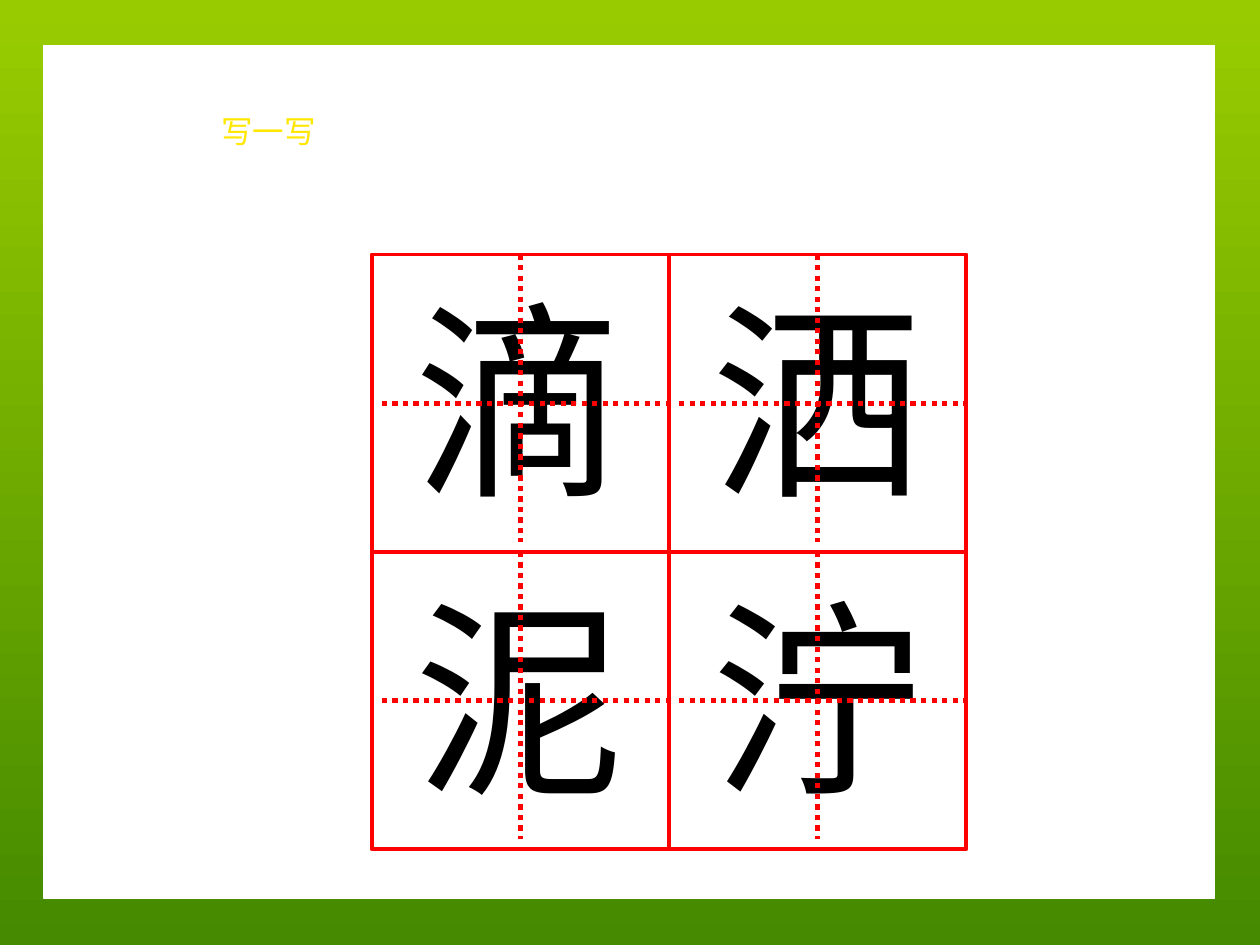
from pptx import Presentation
from pptx.dml.color import RGBColor
from pptx.enum.dml import MSO_LINE
from pptx.enum.shapes import MSO_CONNECTOR, MSO_SHAPE
from pptx.enum.text import MSO_ANCHOR, PP_ALIGN
from pptx.oxml.ns import qn
from pptx.util import Inches, Pt
from lxml import etree

RECTANGLE = MSO_SHAPE.RECTANGLE
STRAIGHT = MSO_CONNECTOR.STRAIGHT
DOTTED = MSO_LINE.ROUND_DOT
TOP, MIDDLE = MSO_ANCHOR.TOP, MSO_ANCHOR.MIDDLE
CENTER = PP_ALIGN.CENTER
TOP_SIDE, RIGHT_SIDE = 0, 3

COLORS = {
    "light green": "99CC00",
    "dark green": "458A00",
    "paper": "FFFFFF",
    "grid": "FF0000",
    "ink": "000000",
    "title": "FFE701",
}
CHARACTERS = ["滴洒", "泥泞"]
CELL = Inches(2.36)
GRID_LEFT, GRID_TOP = Inches(2.95), Inches(2.02)


def color(name):
    return RGBColor.from_string(COLORS[name])


def add_text(shapes, text, left, top, width, height, *, size, font, fill, anchor):
    box = shapes.add_textbox(left, top, width, height)
    frame = box.text_frame
    frame.word_wrap = False
    frame.vertical_anchor = anchor
    paragraph = frame.paragraphs[0]
    paragraph.alignment = CENTER
    run = paragraph.add_run()
    run.text = text
    run.font.size = Pt(size)
    run.font.name = font
    run.font.color.rgb = color(fill)
    east_asian = etree.SubElement(run.font._element, qn("a:ea"))
    east_asian.set("typeface", font)


presentation = Presentation()
presentation.slide_width = Inches(10)
presentation.slide_height = Inches(7.5)
slide = presentation.slides.add_slide(presentation.slide_layouts[6])

background = slide.background.fill
background.gradient()
background.gradient_angle = 270
for stop, name in zip(background.gradient_stops, ["light green", "dark green"]):
    stop.color.rgb = color(name)

paper = slide.shapes.add_shape(
    RECTANGLE, Inches(0.35), Inches(0.36), Inches(9.29), Inches(6.77)
)
paper.shadow.inherit = False
paper.fill.solid()
paper.fill.fore_color.rgb = color("paper")
paper.line.color.rgb = color("paper")
paper.line.width = Pt(0.75)

for row, line in enumerate(CHARACTERS):
    for column, character in enumerate(line):
        left = GRID_LEFT + column * CELL
        top = GRID_TOP + row * CELL
        cell = slide.shapes.add_group_shape().shapes
        add_text(
            cell, character,
            left + Inches(0.24), top + Inches(0.08), Inches(1.86), Inches(2.1),
            size=120, font="Arial", fill="ink", anchor=MIDDLE,
        )

        square = cell.add_shape(RECTANGLE, left, top, CELL, CELL)
        square.shadow.inherit = False
        square.fill.background()
        square.line.color.rgb = color("grid")
        square.line.width = Pt(2.25)

        center_x, center_y = left + CELL // 2, top + CELL // 2
        vertical = cell.add_connector(
            STRAIGHT, center_x, top, center_x, top + Inches(2.28)
        )
        vertical.begin_connect(square, TOP_SIDE)
        horizontal = cell.add_connector(
            STRAIGHT, left + Inches(0.08), center_y, left + CELL, center_y
        )
        horizontal.end_connect(square, RIGHT_SIDE)
        for guide in (vertical, horizontal):
            guide.line.color.rgb = color("grid")
            guide.line.width = Pt(3)
            guide.line.dash_style = DOTTED
            etree.SubElement(guide._element.spPr, qn("a:effectLst"))

add_text(
    slide.shapes, "写一写",
    Inches(0.75), Inches(0.84), Inches(2.76), Inches(1.26),
    size=18, font="Noto Sans CJK SC", fill="title", anchor=TOP,
)

presentation.save("out.pptx")
